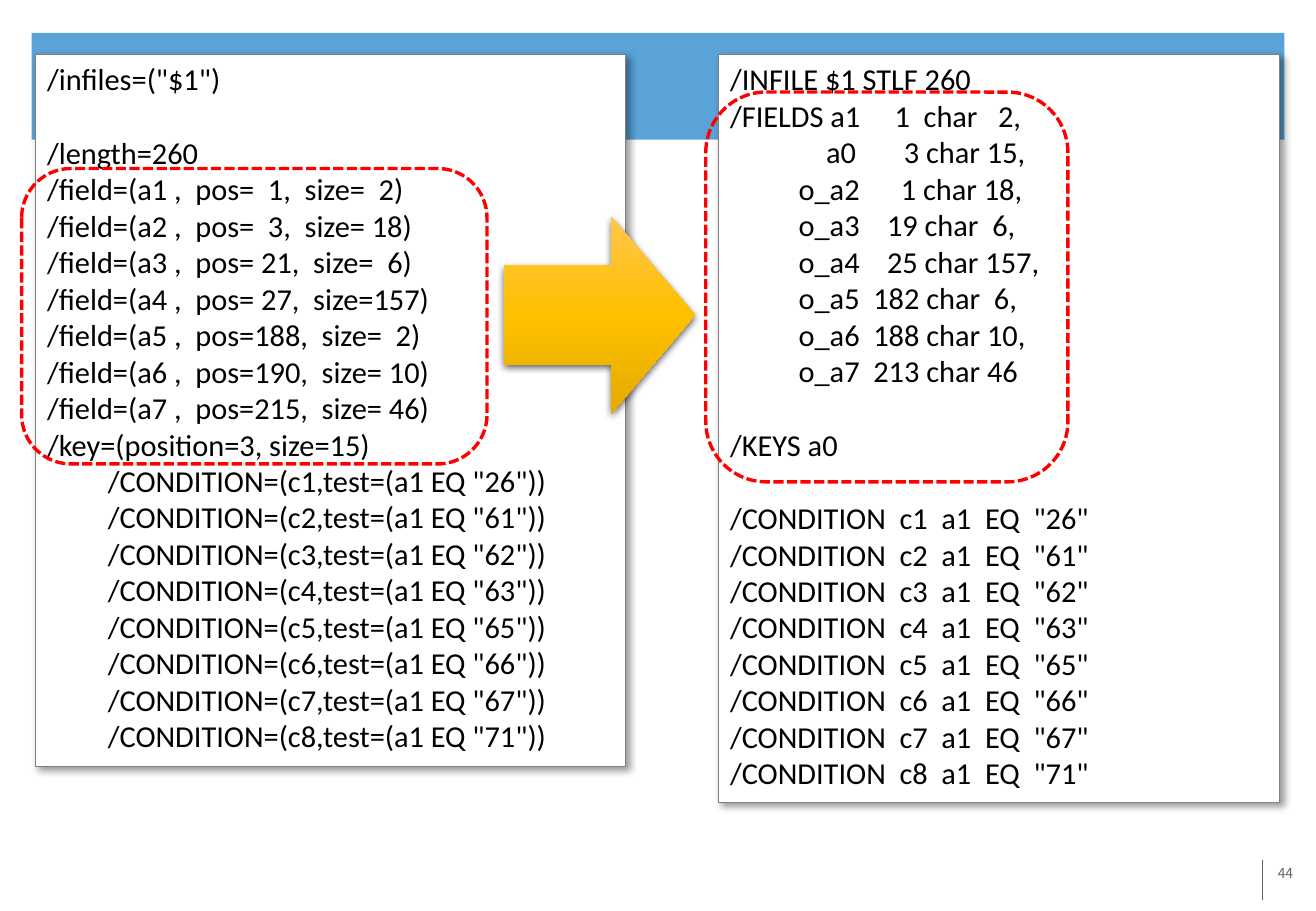
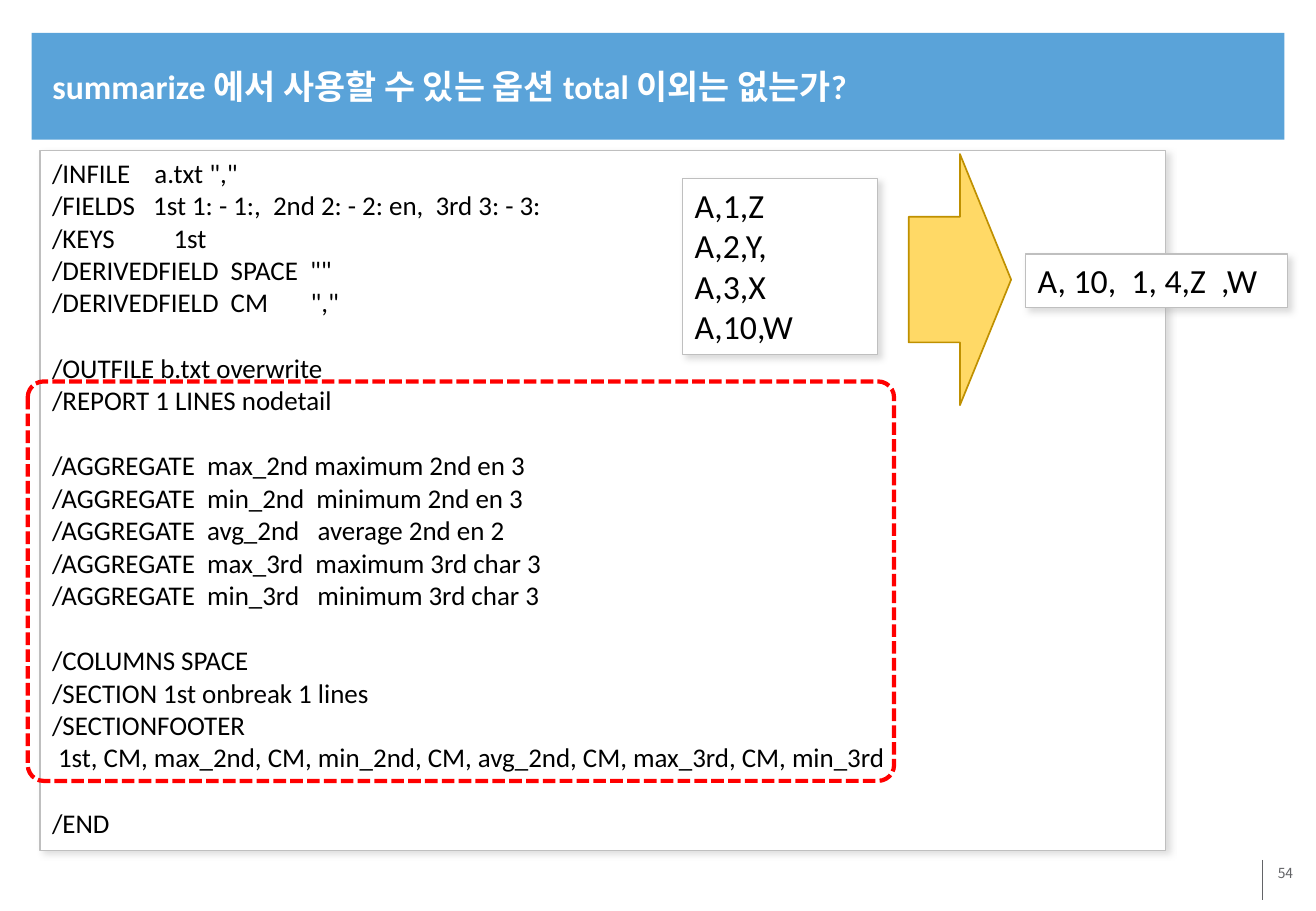
from dataclasses import dataclass

from lxml import etree
from pptx import Presentation
from pptx.dml.color import RGBColor
from pptx.enum.dml import MSO_LINE
from pptx.enum.shapes import MSO_CONNECTOR, MSO_SHAPE
from pptx.enum.text import MSO_ANCHOR, PP_ALIGN
from pptx.oxml.ns import qn
from pptx.util import Inches, Pt

RECTANGLE = MSO_SHAPE.RECTANGLE
ROUNDED = MSO_SHAPE.ROUNDED_RECTANGLE
CAPSULE = MSO_SHAPE.FLOWCHART_ALTERNATE_PROCESS
RIGHT_ARROW = MSO_SHAPE.RIGHT_ARROW
STRAIGHT = MSO_CONNECTOR.STRAIGHT
SHORT_DASH = MSO_LINE.SQUARE_DOT
MIDDLE = MSO_ANCHOR.MIDDLE
RIGHT = PP_ALIGN.RIGHT


@dataclass(frozen=True)
class Shadow:
    color: str
    alpha: int
    blur: float
    distance: float
    angle: int


@dataclass(frozen=True)
class PanelStyle:
    border: str
    shadow: Shadow


@dataclass(frozen=True)
class Theme:
    font: str = "Calibri"
    number_font: str = "Noto Sans CJK KR"
    band: str = "5AA3D9"
    footer: str = "636467"
    white: str = "FFFFFF"
    black: str = "000000"
    highlight: str = "FF0000"
    arrow: str = "FFD966"
    arrow_border: str = "BF9000"
    arrow_gradient: tuple = ((0, "FFC64B"), (50, "FFC000"), (100, "E3AB00"))
    arrow_shadow: Shadow = Shadow("000000", 63, 4.5, 1.5, 90)
    strong_panel: PanelStyle = PanelStyle("808080", Shadow("000000", 40, 4, 3, 45))
    soft_panel: PanelStyle = PanelStyle("BFBFBF", Shadow("A6A6A6", 40, 4, 3, 45))
    title_size: float = 20
    sample_size: float = 20
    code_size: float = 18
    small_code_size: float = 16
    number_size: float = 8.2
    line_height: float = 1.22


@dataclass(frozen=True)
class Box:
    left: int
    top: int
    width: int
    height: int

    def share(self, left, top, width, height):
        return Box(
            int(self.left + self.width * left / 100),
            int(self.top + self.height * top / 100),
            int(self.width * width / 100),
            int(self.height * height / 100),
        )

    def bounds(self):
        return self.left, self.top, self.width, self.height


THEME = Theme()
PAGE = Box(0, 0, Inches(10.83), Inches(7.5))
CONDITION_CODES = (26, 61, 62, 63, 65, 66, 67, 71)

SOURCE_SCRIPT = [
    '/infiles=("$1")',
    "",
    "/length=260",
    "/field=(a1 ,  pos=  1,  size=  2)",
    "/field=(a2 ,  pos=  3,  size= 18)",
    "/field=(a3 ,  pos= 21,  size=  6)",
    "/field=(a4 ,  pos= 27,  size=157)",
    "/field=(a5 ,  pos=188,  size=  2)",
    "/field=(a6 ,  pos=190,  size= 10)",
    "/field=(a7 ,  pos=215,  size= 46)",
    "/key=(position=3, size=15)",
] + [
    f'\t/CONDITION=(c{index},test=(a1 EQ "{code}"))'
    for index, code in enumerate(CONDITION_CODES, 1)
]

CONVERTED_SCRIPT = [
    "/INFILE $1 STLF 260",
    "/FIELDS a1     1  char   2,",
    "              a0       3 char 15,",
    "          o_a2      1 char 18,",
    "          o_a3    19 char  6,",
    "          o_a4    25 char 157,",
    "          o_a5  182 char  6,",
    "          o_a6  188 char 10,",
    "          o_a7  213 char 46",
    "",
    "/KEYS a0",
    "",
] + [
    f'/CONDITION  c{index}  a1  EQ  "{code}"'
    for index, code in enumerate(CONDITION_CODES, 1)
]

SUMMARY_SCRIPT = [
    '/INFILE    a.txt ","',
    "/FIELDS   1st 1: - 1:,  2nd 2: - 2: en,  3rd 3: - 3:",
    "/KEYS\t1st",
    '/DERIVEDFIELD  SPACE  ""',
    '/DERIVEDFIELD  CM       ","',
    "",
    "/OUTFILE b.txt overwrite",
    "/REPORT 1 LINES nodetail",
    "",
    "/AGGREGATE  max_2nd maximum 2nd en 3",
    "/AGGREGATE  min_2nd  minimum 2nd en 3",
    "/AGGREGATE  avg_2nd   average 2nd en 2",
    "/AGGREGATE  max_3rd  maximum 3rd char 3",
    "/AGGREGATE  min_3rd   minimum 3rd char 3",
    "",
    "/COLUMNS SPACE",
    "/SECTION 1st onbreak 1 lines",
    "/SECTIONFOOTER",
    " 1st, CM, max_2nd, CM, min_2nd, CM, avg_2nd, CM, max_3rd, CM, min_3rd",
    "",
    "/END",
]


def rgb(color):
    return RGBColor.from_string(color)


def add_color(parent, color):
    return etree.SubElement(parent, qn("a:srgbClr"), val=color)


def paint(shape, fill=None, border=None, width=0.75):
    shape.shadow.inherit = False
    if fill:
        shape.fill.solid()
        shape.fill.fore_color.rgb = rgb(fill)
    else:
        shape.fill.background()
    if border:
        shape.line.color.rgb = rgb(border)
        shape.line.width = Pt(width)
    else:
        shape.line.fill.background()


def cast_shadow(shape, shadow):
    effects = shape._element.spPr.find(qn("a:effectLst"))
    outer = etree.SubElement(
        effects, qn("a:outerShdw"),
        blurRad=str(Pt(shadow.blur)), dist=str(Pt(shadow.distance)),
        dir=str(shadow.angle * 60000), algn="tl", rotWithShape="0",
    )
    color = add_color(outer, shadow.color)
    etree.SubElement(color, qn("a:alpha"), val=str(shadow.alpha * 1000))


def style_text(paragraph, size, color, font=THEME.font, bold=False):
    paragraph.font.name = font
    paragraph.font.size = Pt(size)
    paragraph.font.bold = bold
    paragraph.font.color.rgb = rgb(color)


def write_lines(frame, lines, size):
    frame.word_wrap = True
    paragraph = frame.paragraphs[0]
    skipped = 0
    for index, line in enumerate(lines):
        if not line:
            skipped += 1
            continue
        if index:
            paragraph = frame.add_paragraph()
        paragraph.text = line
        if skipped:
            paragraph.space_before = Pt(round(skipped * size * THEME.line_height, 1))
            skipped = 0
        style_text(paragraph, size, THEME.black)


def add_panel(slide, box, lines, size, style):
    panel = slide.shapes.add_textbox(*box.bounds())
    paint(panel, THEME.white, style.border)
    cast_shadow(panel, style.shadow)
    write_lines(panel.text_frame, lines, size)


def add_highlight(slide, box, outline, width):
    highlight = slide.shapes.add_shape(outline, *box.bounds())
    paint(highlight, border=THEME.highlight, width=width)
    highlight.line.dash_style = SHORT_DASH
    return highlight


def add_conversion_arrow(slide, box):
    arrow = slide.shapes.add_shape(RIGHT_ARROW, *box.bounds())
    arrow.adjustments[1] = 0.44
    paint(arrow)
    arrow.fill.gradient()
    arrow.fill.gradient_angle = 270
    stops = arrow._element.spPr.find(qn("a:gradFill")).find(qn("a:gsLst"))
    stops.clear()
    for position, color in THEME.arrow_gradient:
        add_color(etree.SubElement(stops, qn("a:gs"), pos=str(position * 1000)), color)
    cast_shadow(arrow, THEME.arrow_shadow)


def add_frame(slide, page, number, title=None):
    band_box = page.share(2.4, 3.6, 95.2, 11.73)
    band = slide.shapes.add_shape(RECTANGLE, *band_box.bounds())
    paint(band, THEME.band)

    number_box = slide.shapes.add_textbox(*page.share(82, 94.4, 16.9, 5.3).bounds())
    frame = number_box.text_frame
    frame.word_wrap = True
    frame.margin_left = frame.margin_right = Inches(0.07)
    frame.margin_top = frame.margin_bottom = Inches(0.04)
    frame.text = str(number)
    frame.paragraphs[0].alignment = RIGHT
    style_text(frame.paragraphs[0], THEME.number_size, THEME.footer, THEME.number_font)

    rule = page.share(95.94, 94.4, 0, 4.4)
    divider = slide.shapes.add_connector(
        STRAIGHT, rule.left, rule.top, rule.left, rule.top + rule.height)
    divider.line.color.rgb = rgb(THEME.footer)
    divider.line.width = Pt(0.75)
    etree.SubElement(divider._element.spPr, qn("a:effectLst"))

    if title:
        heading = slide.shapes.add_textbox(*band_box.share(0.7, 4.5, 98.9, 89.8).bounds())
        heading.text_frame.word_wrap = True
        heading.text_frame.vertical_anchor = MIDDLE
        heading.text_frame.text = title
        style_text(heading.text_frame.paragraphs[0], THEME.title_size, THEME.white, bold=True)


def build_conversion(slide, page):
    add_frame(slide, page, 44)
    source = page.share(2.68, 6, 44.88, 78.13)
    converted = page.share(54.57, 6, 42.66, 82.13)
    for box, lines in ((converted, CONVERTED_SCRIPT), (source, SOURCE_SCRIPT)):
        add_panel(slide, box, lines, THEME.code_size, THEME.strong_panel)
    add_conversion_arrow(slide, page.share(38.32, 23.73, 14.5, 21.73))
    for box in (source.share(-2.3, 16, 78.8, 41.5), converted.share(-2.2, 5, 64.5, 52.1)):
        add_highlight(slide, box, CAPSULE, 2)


def build_summary(slide, page):
    add_frame(slide, page, 54, "summarize 에서 사용할 수 있는 옵션 total 이외는 없는가?")
    script = page.share(3.05, 16.53, 85.5, 76.8)
    add_panel(slide, script, SUMMARY_SCRIPT, THEME.small_code_size, THEME.soft_panel)
    highlight = add_highlight(slide, script.share(-1.1, 33, 77, 57.1), ROUNDED, 2.5)
    highlight.adjustments[0] = 0.04
    for box, lines in (
        (script.share(57.1, 4, 17.3, 25.2), ["A,1,Z", "A,2,Y,", "A,3,X", "A,10,W"]),
        (script.share(87.6, 14.8, 23.3, 7.6), ["A, 10,  1, 4,Z  ,W"]),
    ):
        add_panel(slide, box, lines, THEME.sample_size, THEME.soft_panel)
    arrow = slide.shapes.add_shape(RIGHT_ARROW, *script.share(77.2, 0.5, 9.1, 35.9).bounds())
    paint(arrow, THEME.arrow, THEME.arrow_border, 1)


def main():
    deck = Presentation()
    deck.slide_width, deck.slide_height = PAGE.width, PAGE.height
    blank = deck.slide_layouts[6]
    for build in (build_conversion, build_summary):
        build(deck.slides.add_slide(blank), PAGE)
    deck.save("out.pptx")


if __name__ == "__main__":
    main()
